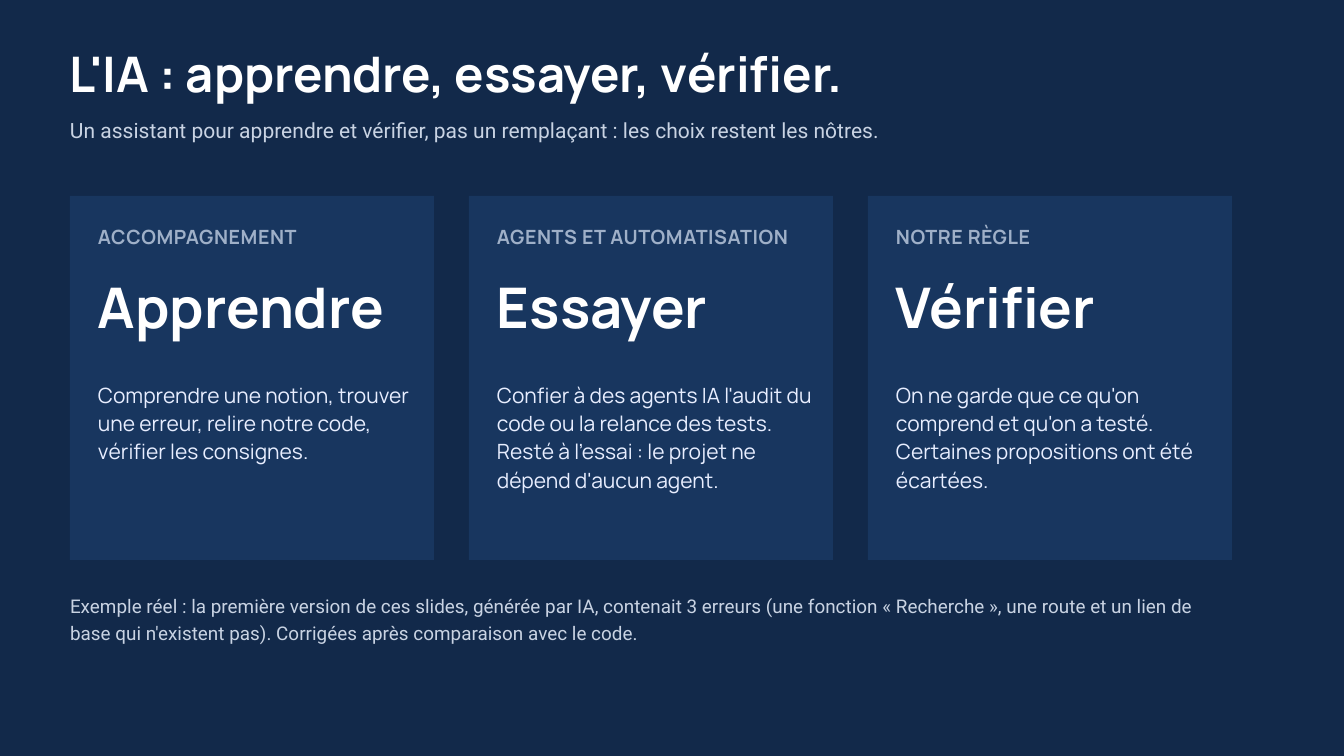
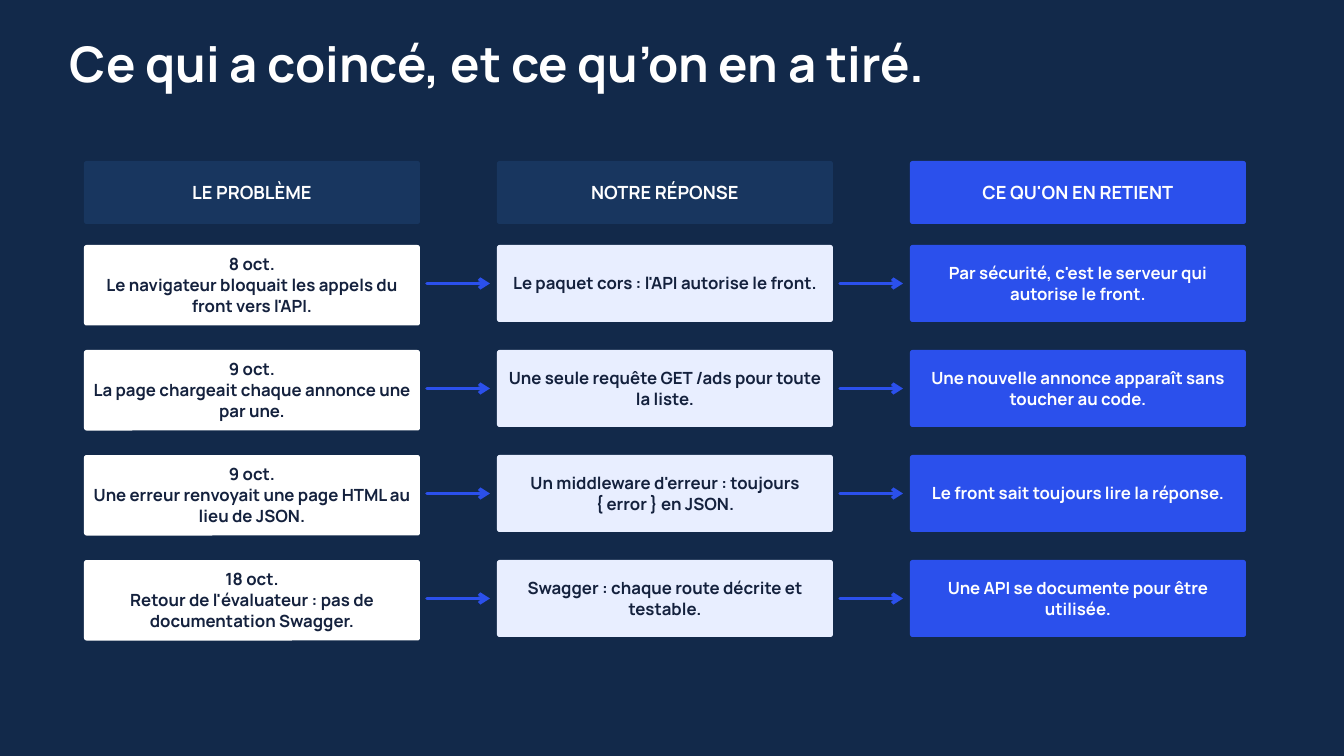
from pptx import Presentation
from pptx.dml.color import RGBColor as RGB
from pptx.enum.shapes import MSO_CONNECTOR as LINE, MSO_SHAPE as SHAPE
from pptx.enum.text import MSO_ANCHOR as ANCHOR, PP_ALIGN as ALIGN
from pptx.oxml.ns import qn
from pptx.util import Pt
from lxml.etree import SubElement

NIGHT = RGB(0x12, 0x29, 0x4A)
NAVY = RGB(0x18, 0x36, 0x5F)
BLUE = RGB(0x2B, 0x50, 0xEC)
PALE = RGB(0xE8, 0xEE, 0xFF)
WHITE = RGB(0xFF, 0xFF, 0xFF)
INK = RGB(0x14, 0x21, 0x3D)
STEEL = RGB(0x9F, 0xB0, 0xC8)
MIST = RGB(0xC9, 0xD3, 0xE3)
HEAD, BODY = "Manrope", "Roboto"


def write(slide, text, left, top, width, height, size, lead, color,
          bold=True, face=HEAD):
    """Add a text box without margins and return its paragraph."""
    box = slide.shapes.add_textbox(Pt(left), Pt(top), Pt(width), Pt(height))
    frame = box.text_frame
    frame.word_wrap = True
    frame.margin_left = frame.margin_right = 0
    frame.margin_top = frame.margin_bottom = 0
    para = frame.paragraphs[0]
    para.text = text
    para.line_spacing = Pt(lead)
    font = para.font
    font.name, font.size, font.bold = face, Pt(size), bold
    font.color.rgb = color
    return para


def block(slide, kind, left, top, width, height, fill):
    """Add a filled shape without outline or shadow."""
    shape = slide.shapes.add_shape(
        kind, Pt(left), Pt(top), Pt(width), Pt(height))
    shape.shadow.inherit = False
    shape.fill.solid()
    shape.fill.fore_color.rgb = fill
    shape.line.fill.background()
    return shape


deck = Presentation()
deck.slide_width, deck.slide_height = Pt(1440), Pt(810)

slides = []
for title, top in (
    ("L'IA : apprendre, essayer, vérifier.", 55),
    ("Ce qui a coincé, et ce qu’on en a tiré.", 43.5),
):
    slide = deck.slides.add_slide(deck.slide_layouts[6])
    slide.background.fill.solid()
    slide.background.fill.fore_color.rgb = NIGHT
    write(slide, title, 75, top, 1238, 60, 52.5, 55.1, WHITE)
    slides.append(slide)
uses, lessons = slides

# Slide 1: three cards between an introduction and an example
write(uses, "Un assistant pour apprendre et vérifier, pas un remplaçant : "
      "les choix restent les nôtres.",
      75, 121.5, 1290, 31.5, 22.5, 31.5, MIST, False, BODY)

CARDS = (
    ("ACCOMPAGNEMENT", "Apprendre",
     "Comprendre une notion, trouver une erreur, relire notre code, "
     "vérifier les consignes."),
    ("AGENTS ET AUTOMATISATION", "Essayer",
     "Confier à des agents IA l'audit du code ou la relance des tests. "
     "Resté à l'essai : le projet ne dépend d'aucun agent."),
    ("NOTRE RÈGLE", "Vérifier",
     "On ne garde que ce qu'on comprend et qu'on a testé. "
     "Certaines propositions ont été écartées."),
)
for col, (label, verb, text) in enumerate(CARDS):
    left = 75 + 427.5 * col
    block(uses, SHAPE.RECTANGLE, left, 210, 390, 390, NAVY)
    para = write(uses, label, left + 30, 237, 337.5, 28, 21, 29.4, STEEL)
    para.runs[0].font._element.set("spc", "60")
    write(uses, verb, left + 30, 301, 337.5, 70.5, 60, 63, WHITE)
    write(uses, text, left + 30, 406, 337.5, 120, 22.5, 30.4, PALE, False)

write(uses, "Exemple réel : la première version de ces slides, générée par "
      "IA, contenait 3 erreurs (une fonction « Recherche », une route et un "
      "lien de base qui n'existent pas). Corrigées après comparaison avec le "
      "code.", 75, 633.5, 1245, 55.5, 20.25, 28.4, MIST, False, BODY)

# Slide 2: a grid of problems, answers and lessons joined by arrows
LEFT, STEP, WIDE = 90, 442.5, 360
ROWS = (
    ("LE PROBLÈME", "NOTRE RÉPONSE", "CE QU'ON EN RETIENT"),
    ("8 oct.\nLe navigateur bloquait les appels du front vers l'API.",
     "Le paquet cors : l'API autorise le front.",
     "Par sécurité, c'est le serveur qui autorise le front."),
    ("9 oct.\nLa page chargeait chaque annonce une par une.",
     "Une seule requête GET /ads pour toute la liste.",
     "Une nouvelle annonce apparaît sans toucher au code."),
    ("9 oct.\nUne erreur renvoyait une page HTML au lieu de JSON.",
     "Un middleware d'erreur : toujours { error } en JSON.",
     "Le front sait toujours lire la réponse."),
    ("18 oct.\nRetour de l'évaluateur : pas de documentation Swagger.",
     "Swagger : chaque route décrite et testable.",
     "Une API se documente pour être utilisée."),
)
TOPS = ((NAVY, WHITE), (NAVY, WHITE), (BLUE, WHITE))
CELLS = ((WHITE, INK), (PALE, INK), (BLUE, WHITE))

for row, texts in enumerate(ROWS):
    if row == 0:
        top, highs, hues, size, lead, lift = 172.5, (67.5,) * 3, TOPS, 19.5, 22.4, 0
    else:
        top, highs = 150 + 112.5 * row, (86.25, 82.5, 82.5)
        hues, size, lead, lift = CELLS, 18, 22.5, 2
    for col, (text, high, (fill, ink)) in enumerate(zip(texts, highs, hues)):
        left = LEFT + STEP * col
        cell = block(lessons, SHAPE.ROUNDED_RECTANGLE,
                     left, top, WIDE, high, fill)
        cell.adjustments[0] = 2.7 / high
        frame = cell.text_frame
        frame.word_wrap = True
        frame.vertical_anchor = ANCHOR.MIDDLE
        frame.margin_left = frame.margin_right = Pt(3.7)
        frame.margin_top, frame.margin_bottom = Pt(4 - lift), Pt(4)
        frame.text = text
        for para in frame.paragraphs:
            para.alignment = ALIGN.CENTER
            para.line_spacing = Pt(lead)
            font = para.font
            font.name, font.size, font.bold = HEAD, Pt(size), True
            font.color.rgb = ink
        if row and col:
            mid = Pt(top + 41.25)
            arrow = lessons.shapes.add_connector(
                LINE.STRAIGHT, Pt(left - 75), mid, Pt(left - 7.5), mid)
            arrow.line.color.rgb = BLUE
            arrow.line.width = Pt(3.75)
            props = arrow._element.spPr
            stroke = props.find(qn("a:ln"))
            stroke.set("cap", "rnd")
            SubElement(stroke, qn("a:tailEnd"), type="arrow")
            SubElement(props, qn("a:effectLst"))

deck.save("out.pptx")
